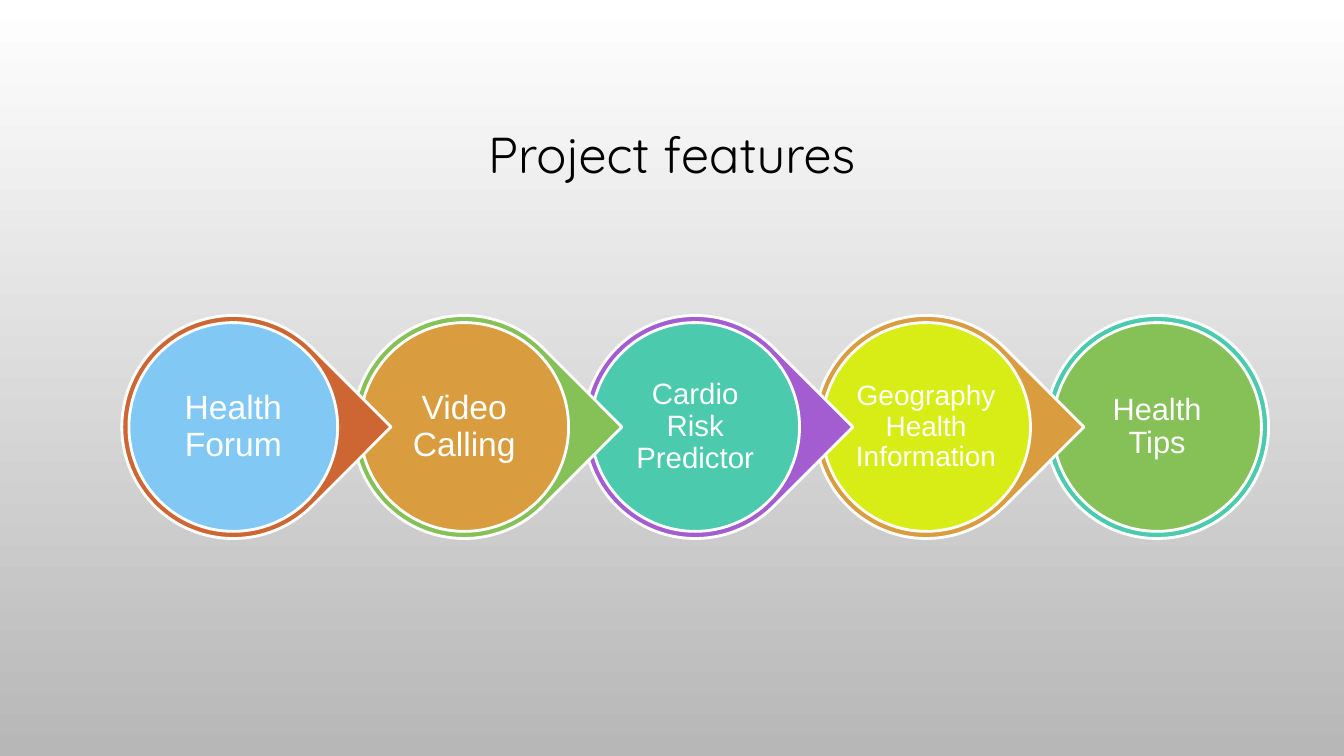
from pptx import Presentation
from pptx.dml.color import RGBColor
from pptx.enum.shapes import MSO_SHAPE
from pptx.enum.text import MSO_ANCHOR, PP_ALIGN
from pptx.util import Cm, Pt

OVAL, DROP = MSO_SHAPE.OVAL, MSO_SHAPE.TEAR
MIDDLE, CENTER = MSO_ANCHOR.MIDDLE, PP_ALIGN.CENTER

WHITE = RGBColor(0xFF, 0xFF, 0xFF)
BLACK = RGBColor(0x00, 0x00, 0x00)
GRAY = RGBColor(0xB7, 0xB7, 0xB7)
RUST = RGBColor(0xCE, 0x66, 0x33)
SKY = RGBColor(0x82, 0xC8, 0xF5)
GREEN = RGBColor(0x86, 0xC1, 0x57)
AMBER = RGBColor(0xD9, 0x9C, 0x3F)
PURPLE = RGBColor(0xA3, 0x5D, 0xD1)
TEAL = RGBColor(0x4B, 0xCA, 0xAD)
LIME = RGBColor(0xD8, 0xED, 0x15)

# Label, text size, outer colour, inner colour
STEPS = [
    ("Health Forum", 24, RUST, SKY),
    ("Video Calling", 24, GREEN, AMBER),
    ("Cardio Risk Predictor", 21, PURPLE, TEAL),
    ("Geography Health Information", 20, AMBER, LIME),
    ("Health Tips", 22, TEAL, GREEN),
]
FIRST, PITCH, MID = 5.88, 5.82, 10.76
OUTER, INNER = 5.62, 5.26


class Deck:
    def __init__(self, prs):
        self.slide = prs.slides.add_slide(prs.slide_layouts[5])
        self.line = WHITE
        self.width = Pt(2)

    def back(self, top, end):
        """Fill the background with a gradient that runs downwards."""
        fill = self.slide.background.fill
        fill.gradient()
        fill.gradient_angle = 270
        for stop, color in zip(fill.gradient_stops, (top, end)):
            stop.color.rgb = color

    def label(self, shape, text, font, size, color):
        frame = shape.text_frame
        frame.text = text
        frame.word_wrap = True
        frame.vertical_anchor = MIDDLE
        para = frame.paragraphs[0]
        para.alignment = CENTER
        para.line_spacing = 0.9
        style = para.runs[0].font
        style.name, style.size = font, Pt(size)
        style.color.rgb = color

    def title(self, text):
        head = self.slide.shapes.title
        head.left, head.top = Cm(2.54), Cm(1.73)
        head.width, head.height = Cm(28.78), Cm(4.45)
        self.label(head, text, "Quicksand", 36, BLACK)

    def disc(self, kind, x, y, size, color):
        """Draw a round shape centred on x, y."""
        shape = self.slide.shapes.add_shape(
            kind, Cm(x - size / 2), Cm(y - size / 2), Cm(size), Cm(size))
        shape.shadow.inherit = False
        shape.fill.solid()
        shape.fill.fore_color.rgb = color
        shape.line.color.rgb = self.line
        shape.line.width = self.width
        return shape

    def step(self, x, text, size, rim, core, last):
        outer = self.disc(OVAL if last else DROP, x, MID, OUTER, rim)
        if not last:
            outer.adjustments[0] = 1
            outer.rotation = 45
        inner = self.disc(OVAL, x, MID, INNER, core)
        frame = inner.text_frame
        frame.margin_left = frame.margin_right = Cm(0)
        frame.margin_top = frame.margin_bottom = Cm(0)
        self.label(inner, text, "Arial", size, WHITE)
        # Spacing below lifts the label slightly
        frame.paragraphs[0].space_after = Pt(round(size * 0.35))


def main():
    prs = Presentation()
    prs.slide_width, prs.slide_height = Cm(33.87), Cm(19.05)
    deck = Deck(prs)
    deck.back(WHITE, GRAY)
    deck.title("Project features")
    # Later steps lie below the tip of the step before
    end = len(STEPS) - 1
    for i in range(end, -1, -1):
        deck.step(FIRST + i * PITCH, *STEPS[i], last=i == end)
    prs.save("out.pptx")


if __name__ == "__main__":
    main()
